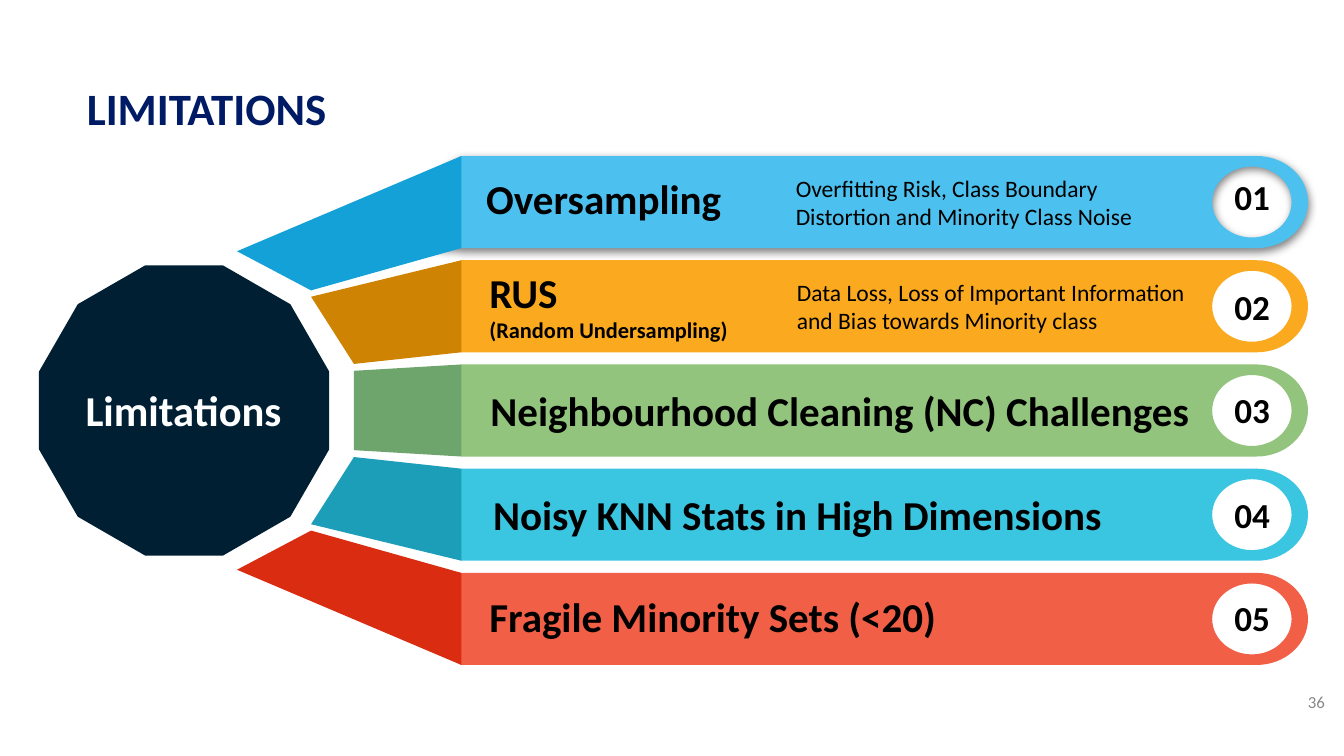
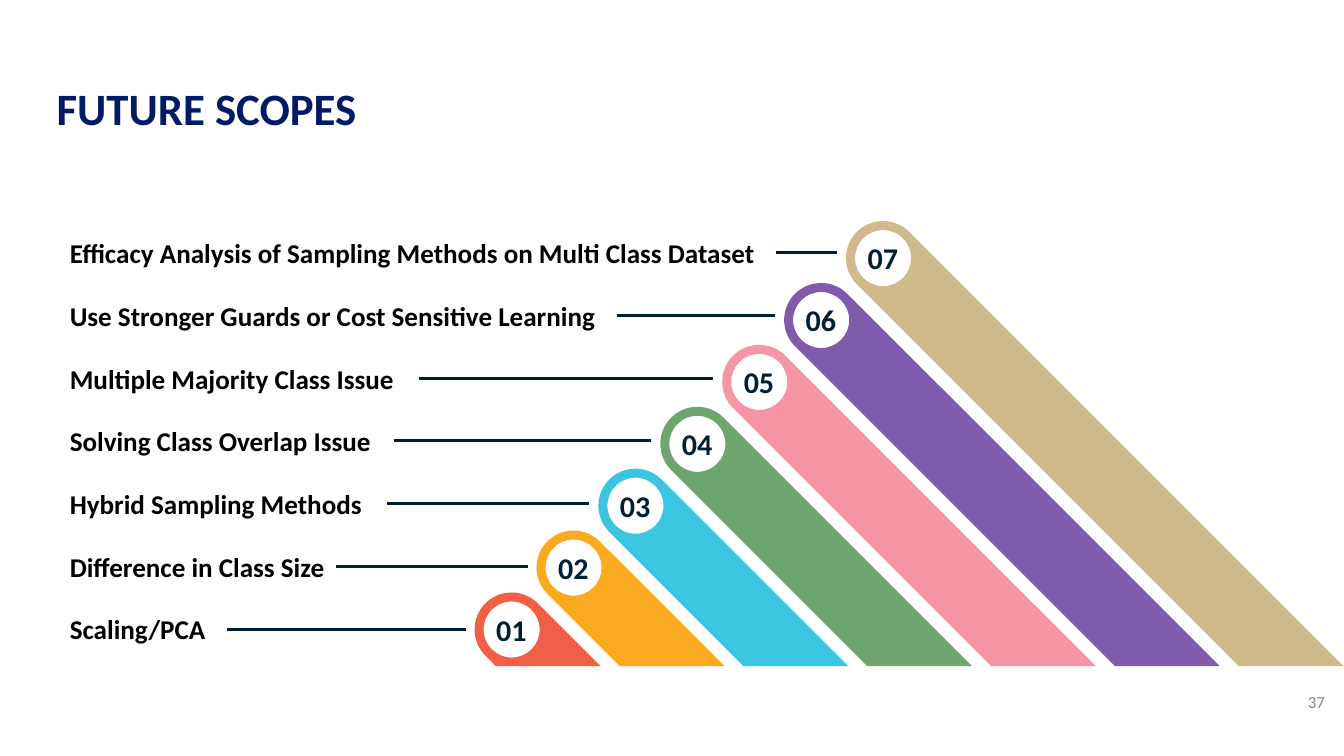
"""Build the limitations and future scopes slides."""
import math
from dataclasses import dataclass

from lxml import etree
from pptx import Presentation
from pptx import util as u
from pptx.dml.color import RGBColor
from pptx.enum import shapes, text
from pptx.oxml import parse_xml
from pptx.oxml.ns import nsdecls, qn


@dataclass(frozen=True)
class Theme:
    font: str = "Calibri"
    title: str = "001B66"
    navy: str = "001F33"
    black: str = "000000"
    white: str = "FFFFFF"
    grey: str = "888888"
    title_size: float = 24
    hub_size: float = 22.8
    heading_size: float = 22
    bar_number_size: float = 18.8
    lane_number_size: float = 16.1
    lane_label_size: float = 14.5
    detail_size: float = 12.6
    note_size: float = 12
    page_size: float = 9
    rule_width: float = 1.61


theme = Theme()
LEFT, CENTER, RIGHT = text.PP_ALIGN.LEFT, text.PP_ALIGN.CENTER, text.PP_ALIGN.RIGHT
TOP, MIDDLE, BOTTOM = text.MSO_ANCHOR.TOP, text.MSO_ANCHOR.MIDDLE, text.MSO_ANCHOR.BOTTOM


def write(target, area, lines, color, align=LEFT, anchor=BOTTOM, bold=True, inset=(0, 0.13), grow=True):
    box = target.add_textbox(*(u.Cm(length) for length in area))
    frame = box.text_frame
    frame.word_wrap = True
    frame.auto_size = text.MSO_AUTO_SIZE.SHAPE_TO_FIT_TEXT if grow else text.MSO_AUTO_SIZE.NONE
    frame.vertical_anchor = anchor
    frame.margin_left = frame.margin_right = u.Cm(inset[0])
    frame.margin_top = frame.margin_bottom = u.Cm(inset[1])
    for index, (words, size) in enumerate(lines):
        para = frame.add_paragraph() if index else frame.paragraphs[0]
        para.alignment = align
        span = para.add_run()
        span.text = words
        span.font.name = theme.font
        span.font.size = u.Pt(size)
        span.font.bold = bold
        span.font.color.rgb = RGBColor.from_string(color)


def draw(target, contours, color):
    """Draw contours of points (x, y) and arcs (x, y, radius x, radius y, from, to)."""
    builder = target.build_freeform(*(u.Cm(length) for length in contours[0][0]))
    curved = []
    for index, (start, *steps) in enumerate(contours):
        if index:
            builder.move_to(*(u.Cm(length) for length in start))
        points = []
        for step in steps:
            curved.append(len(step) == 6)
            if len(step) == 2:
                points.append(step)
                continue
            x, y, radius_x, radius_y, begin, end = step
            begin, end = math.radians(begin), math.radians(end)
            pull = 4 / 3 * math.tan((end - begin) / 4)
            units = [(math.cos(begin) - pull * math.sin(begin), math.sin(begin) + pull * math.cos(begin)),
                     (math.cos(end) + pull * math.sin(end), math.sin(end) - pull * math.cos(end)),
                     (math.cos(end), math.sin(end))]
            points += [(x + radius_x * across, y + radius_y * down) for across, down in units]
        builder.add_line_segments([(u.Cm(x), u.Cm(y)) for x, y in points])
    shape = builder.convert_to_shape()
    segments = iter(list(shape._element.iter(qn("a:lnTo"))))
    for is_curve in curved:
        segment = next(segments)
        if is_curve:
            segment.tag = qn("a:cubicBezTo")
            for control in (next(segments), next(segments)):
                control.getparent().remove(control)
                segment.append(control[0])
    shape.shadow.inherit = False
    shape.fill.solid()
    shape.fill.fore_color.rgb = RGBColor.from_string(color)
    shape.line.fill.background()
    return shape


deck = Presentation()
deck.slide_width, deck.slide_height = u.Cm(25.4), u.Cm(14.29)

pages = []
for title, number in (("LIMITATIONS", "36"), ("FUTURE SCOPES", "37")):
    page = deck.slides.add_slide(deck.slide_layouts[6])
    write(page.shapes, (-0.26, 1.27, 8.33, 1.55), [(title, theme.title_size)], theme.title,
          CENTER, TOP, inset=(0.25, 0.25))
    write(page.shapes, (23.7, 12.73, 1.52, 1.09), [(number, theme.page_size)], theme.grey,
          RIGHT, MIDDLE, bold=False, inset=(0.18, 0.1), grow=False)
    pages.append(page)
limitations, scopes = pages

hub_x, hub_y, hub_radius = 3.48, 7.76, 2.84
hub = [(hub_x + hub_radius * math.cos(math.radians(angle)), hub_y + hub_radius * math.sin(math.radians(angle)))
       for angle in range(-75, 286, 30)]
draw(limitations.shapes, [hub], theme.navy)
write(limitations.shapes, (1.44, 7.12, 4.06, 1.24), [("Limitations", theme.hub_size)],
      theme.white, CENTER)

bar_left, bar_end, bar_top, bar_pitch, bar_height = 8.72, 23.75, 2.95, 1.97, 1.74
hole_x, hole_width, hole_height = 23.66, 0.75, 0.67
bars = [
    ("4CC1EF", "13A1D8", (6.25, 4.5), (4.48, 4.75), (5.88, 5.49), 3.18,
     (9.19, 3.12, 6.12, 1.22), ["Oversampling"], (15.04, 3.15, 6.78, 1.35),
     "Overfitting Risk, Class Boundary Distortion and Minority Class Noise"),
    ("FBA91E", "CF8303", (6.91, 6.17), (5.88, 5.61), (6.69, 6.88), 5.25,
     (9.25, 4.89, 6.12, 1.73), ["RUS", "(Random Undersampling)"], (15.06, 5.12, 7.62, 1.35),
     "Data Loss, Loss of Important Information and Bias towards Minority class"),
    ("93C47D", "6EA56C", (7.19, 7.82), (6.69, 7.01), (6.69, 8.51), 7.2,
     (9.27, 7.13, 13.36, 1.22), ["Neighbourhood Cleaning (NC) Challenges"], None, None),
    ("3AC6E1", "1C9EB8", (6.73, 9.47), (6.69, 8.64), (5.88, 9.91), 9.18,
     (9.32, 9.1, 12.22, 1.22), ["Noisy KNN Stats in High Dimensions"], None, None),
    ("F15F47", "D92C10", (5.77, 10.77), (5.88, 10.03), (4.48, 10.77), 11.13,
     (9.25, 11.02, 10.77, 1.22), ["Fragile Minority Sets (<20)"], None, None),
]
for index, (color, shade, tip, upper, lower, number_top, area, heading, detail_area, detail) in enumerate(bars):
    group = limitations.shapes.add_group_shape().shapes
    top = bar_top + index * bar_pitch
    bottom, middle = top + bar_height, top + bar_height / 2
    outline = [(bar_end, top), (bar_left, top), tip, (bar_left, bottom), (bar_end, bottom)]
    outline += [(bar_end, middle, 0.97, bar_height / 2, angle, angle - 90) for angle in (90, 0)]
    hole = [(hole_x, middle + hole_height)]
    hole += [(hole_x, middle, hole_width, hole_height, angle, angle + 90) for angle in range(90, 450, 90)]
    bar = draw(group, [outline, hole], color)
    if index == 0:
        effects = bar._element.spPr.find(qn("a:effectLst"))
        effects.append(parse_xml(
            f'<a:outerShdw {nsdecls("a")} blurRad="57150" dist="19050" dir="5400000" algn="bl" '
            f'rotWithShape="0"><a:srgbClr val="{theme.black}"><a:alpha val="50000"/></a:srgbClr></a:outerShdw>'))
    draw(group, [[upper, (bar_left, top), (bar_left, bottom), lower, upper]], shade)
    write(group, (22.56, number_top, 2.21, 1.07), [(f"{index + 1:02}", theme.bar_number_size)],
          theme.black, CENTER)
    write(group, area, list(zip(heading, (theme.heading_size, theme.note_size))), theme.black)
    if detail:
        write(group, detail_area, [(detail, theme.detail_size)], theme.black, anchor=TOP, bold=False)

lane_x, lane_y, lane_pitch, base, cap_radius, hole_radius = 9.67, 11.9, 1.17, 12.59, 0.7, 0.53
label_left, rule_bottom, rule_top = 1.32, 11.89, 4.78
lanes = [
    ("F15F47", "Scaling/PCA", 2.97),
    ("FBA91E", "Difference in Class Size", 5.03),
    ("3AC6E1", "Hybrid Sampling Methods", 5.99),
    ("6EA56C", "Solving Class Overlap Issue", 6.12),
    ("F595A6", "Multiple Majority Class Issue", 6.6),
    ("805AAB", "Use Stronger Guards or Cost Sensitive Learning", 10.34),
    ("CEBA8B", "Efficacy Analysis of Sampling Methods on Multi Class Dataset", 13.34),
]
centers = [(lane_x + index * lane_pitch, lane_y - index * lane_pitch) for index in range(len(lanes))]
stripes = []
slant = cap_radius * math.sqrt(0.5)
for (center_x, center_y), (color, label, width) in zip(centers, lanes):
    run = base - center_y
    outline = [(center_x + slant, center_y - slant)]
    outline += [(center_x, center_y, cap_radius, cap_radius, begin, end)
                for begin, end in ((315, 270), (270, 180), (180, 135))]
    outline += [(center_x + run - 2 * slant, base), (center_x + run + 2 * slant, base), outline[0]]
    hole = [(center_x, center_y + hole_radius)]
    hole += [(center_x, center_y, hole_radius, hole_radius, angle, angle + 90) for angle in range(90, 450, 90)]
    stripes.append(draw(scopes.shapes, [outline, hole], color))
scopes.shapes.add_group_shape(stripes)

for index, ((center_x, center_y), (color, label, width)) in enumerate(zip(centers, lanes)):
    write(scopes.shapes, (center_x - 0.55, center_y - 0.45, 1.09, 0.89),
          [(f"{index + 1:02}", theme.lane_number_size)], theme.navy, CENTER, MIDDLE, inset=(0, 0.1))
    rule_y = rule_bottom + (rule_top - rule_bottom) * index / (len(lanes) - 1)
    write(scopes.shapes, (label_left, rule_y - 0.43, width, 0.84),
          [(label, theme.lane_label_size)], theme.black, inset=(0, 0.1))
    rule = scopes.shapes.add_connector(
        shapes.MSO_CONNECTOR.STRAIGHT, u.Cm(label_left + width), u.Cm(rule_y),
        u.Cm(center_x - 0.87), u.Cm(rule_y))
    rule.line.color.rgb = RGBColor.from_string(theme.navy)
    rule.line.width = u.Pt(theme.rule_width)
    etree.SubElement(rule._element.spPr, qn("a:effectLst"))

deck.save("out.pptx")
